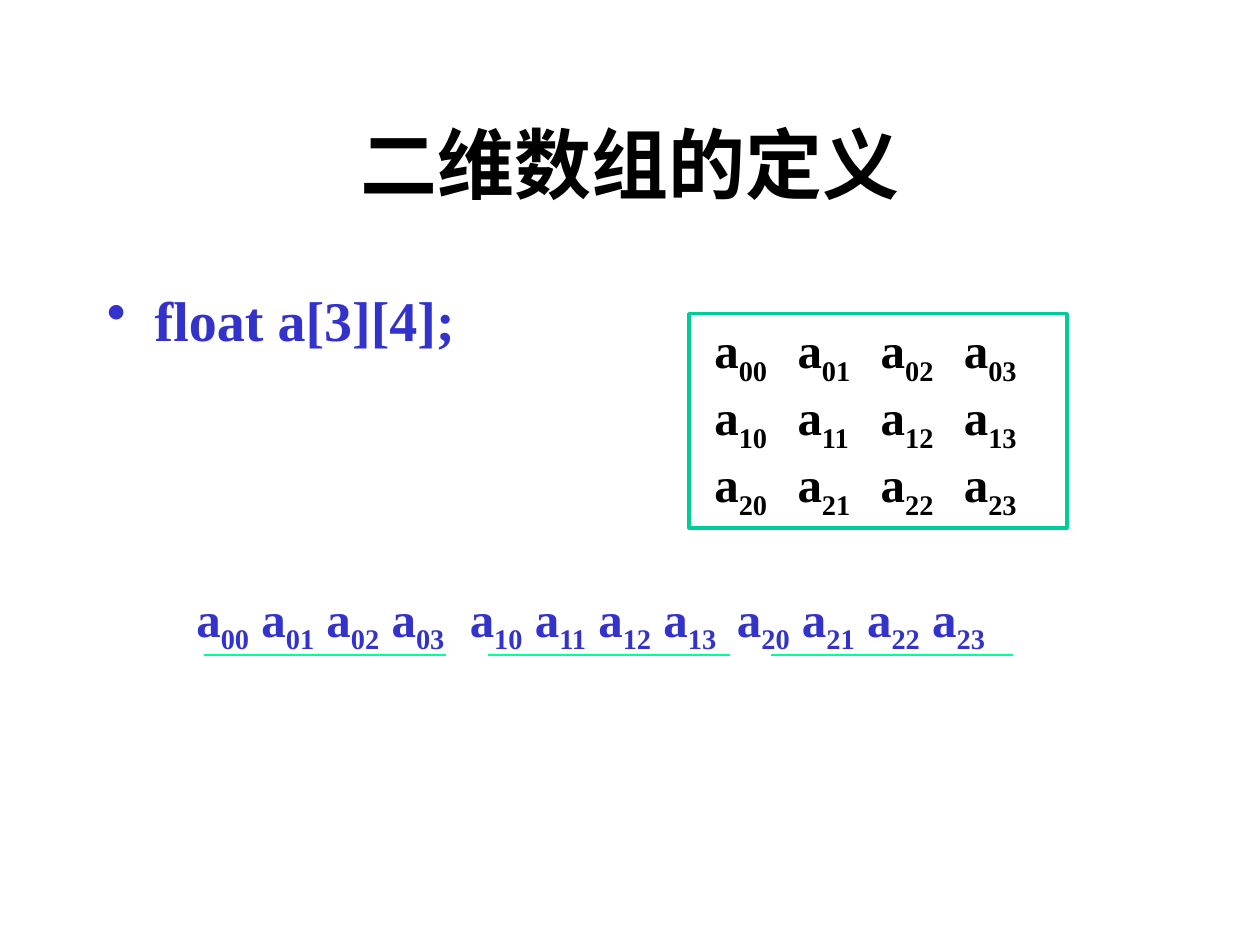
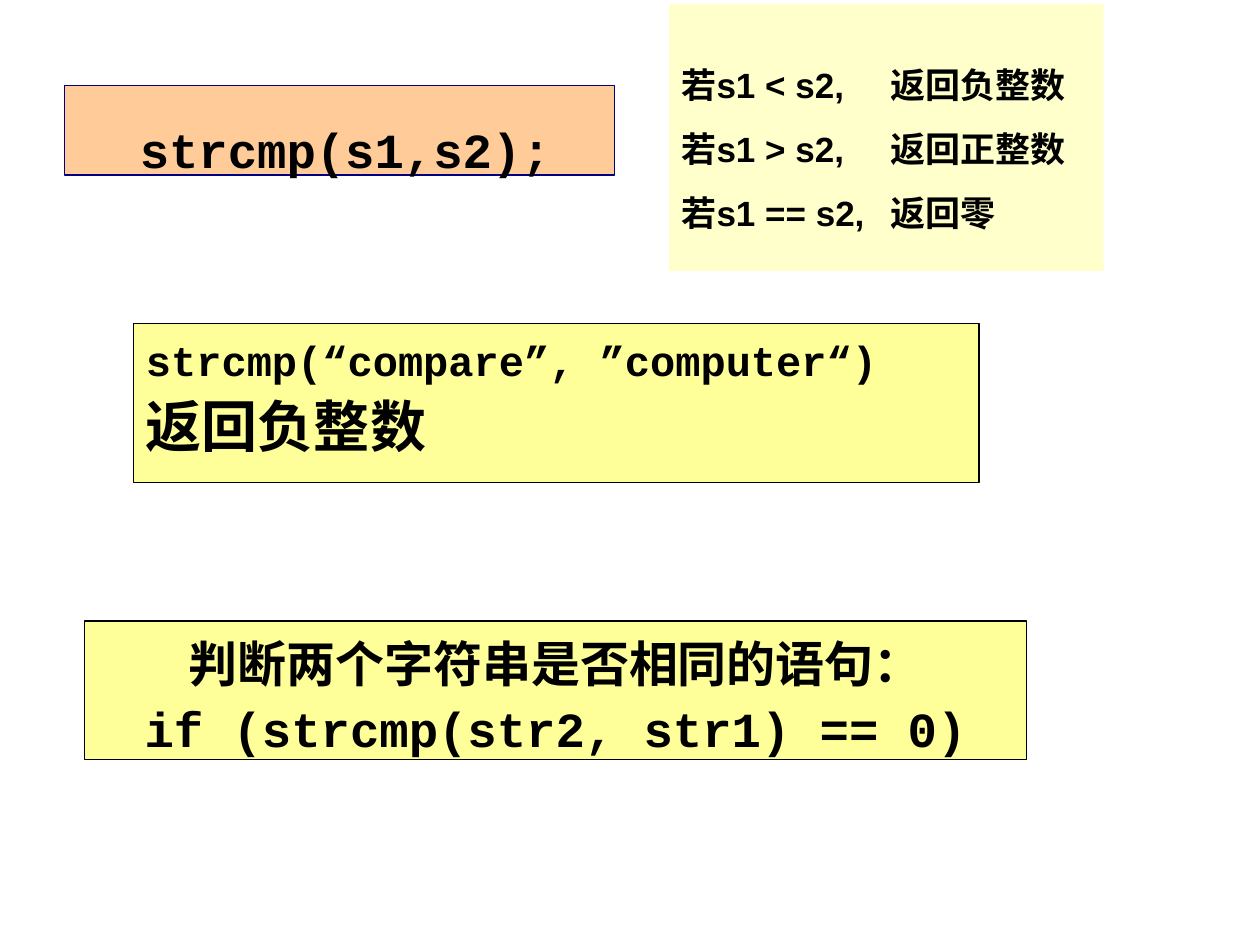
import pptx
import pptx.util
import pptx.dml.color
import pptx.enum.shapes
import pptx.enum.text
import pptx.oxml.ns
import lxml.etree

Inches = pptx.util.Inches
Pt = pptx.util.Pt
RGBColor = pptx.dml.color.RGBColor
Align = pptx.enum.text.PP_ALIGN
Anchor = pptx.enum.text.MSO_ANCHOR
qn = pptx.oxml.ns.qn

BLACK = RGBColor(0x00, 0x00, 0x00)
BLUE = RGBColor(0x33, 0x33, 0xCC)
NAVY = RGBColor(0x00, 0x00, 0x80)
TEAL = RGBColor(0x00, 0xCC, 0x99)
MINT = RGBColor(0x00, 0xFF, 0x99)
PEACH = RGBColor(0xFF, 0xCC, 0x99)
CREAM = RGBColor(0xFF, 0xFF, 0xCC)
YELLOW = RGBColor(0xFF, 0xFF, 0x99)

SERIF = "Times New Roman"
SANS = "Arial"
MONO = "Courier New"
TITLE_ONLY, BLANK = 5, 6


class Deck:
    def __init__(self):
        self.presentation = pptx.Presentation()
        self.presentation.slide_width = Inches(10)
        self.presentation.slide_height = Inches(7.5)
        self.slide = None

    def add_slide(self, layout):
        layouts = self.presentation.slide_layouts
        self.slide = self.presentation.slides.add_slide(layouts[layout])

    def style(self, paragraph, font, size, color=BLACK):
        paragraph.font.name = font
        paragraph.font.size = Pt(size)
        paragraph.font.bold = True
        paragraph.font.color.rgb = color

    def title(self, text):
        title = self.slide.shapes.title
        title.left, title.top = Inches(0.75), Inches(0.67)
        title.width, title.height = Inches(8.5), Inches(1.25)
        title.text_frame.vertical_anchor = Anchor.MIDDLE
        paragraph = title.text_frame.paragraphs[0]
        paragraph.text = text
        paragraph.alignment = Align.CENTER
        self.style(paragraph, SERIF, 44)

    def frame(self, shape, inset_left=0.1, inset_top=0.05, anchor=Anchor.TOP):
        frame = shape.text_frame
        frame.word_wrap = True
        frame.vertical_anchor = anchor
        frame.margin_left = Inches(inset_left)
        frame.margin_top = Inches(inset_top)
        frame.margin_right, frame.margin_bottom = Inches(0.1), Inches(0.05)
        return frame

    def text_box(self, left, top, width, height, **insets):
        shape = self.slide.shapes.add_textbox(
            Inches(left), Inches(top), Inches(width), Inches(height))
        return self.frame(shape, **insets)

    def panel(self, left, top, width, height, fill=None, line=None,
              weight=0.75, **insets):
        shape = self.slide.shapes.add_shape(
            pptx.enum.shapes.MSO_SHAPE.RECTANGLE,
            Inches(left), Inches(top), Inches(width), Inches(height))
        shape.shadow.inherit = False
        if fill is None:
            shape.fill.background()
        else:
            shape.fill.solid()
            shape.fill.fore_color.rgb = fill
        if line is None:
            shape.line.fill.background()
        else:
            shape.line.color.rgb = line
            shape.line.width = Pt(weight)
        return self.frame(shape, **insets)

    def paragraph(self, frame, text, font, size, color=BLACK, before=0,
                  spacing=1.0, align=Align.LEFT, tabs=()):
        paragraph = frame.paragraphs[0]
        if paragraph.runs:
            paragraph = frame.add_paragraph()
            paragraph.space_before = Pt(before)
        paragraph.alignment = align
        paragraph.line_spacing = spacing
        if text:
            paragraph.add_run().text = text
        self.tab_stops(paragraph, tabs)
        self.style(paragraph, font, size, color)
        return paragraph

    def tab_stops(self, paragraph, positions):
        if not positions:
            return
        properties = paragraph._p.get_or_add_pPr()
        tab_list = lxml.etree.SubElement(properties, qn("a:tabLst"))
        for position in positions:
            lxml.etree.SubElement(tab_list, qn("a:tab"),
                                  pos=str(Inches(position)), algn="l")

    def bullet(self, frame, text, size, color):
        paragraph = frame.paragraphs[0]
        paragraph.text = text
        properties = paragraph._p.get_or_add_pPr()
        properties.set("marL", str(Inches(0.38)))
        properties.set("indent", str(-Inches(0.38)))
        bullet_color = lxml.etree.SubElement(properties, qn("a:buClr"))
        lxml.etree.SubElement(bullet_color, qn("a:srgbClr"), val=str(color))
        lxml.etree.SubElement(properties, qn("a:buChar"), char="•")
        self.style(paragraph, SERIF, size, color)

    def elements(self, paragraph, row, separator):
        for column in range(4):
            paragraph.add_run().text = (separator if column else "") + "a"
            index = paragraph.add_run()
            index.text = f"{row}{column}"
            index._r.get_or_add_rPr().set("baseline", "-25000")

    def line(self, left, top, width, color):
        connector = self.slide.shapes.add_connector(
            pptx.enum.shapes.MSO_CONNECTOR.STRAIGHT,
            Inches(left), Inches(top), Inches(left + width), Inches(top))
        connector.line.color.rgb = color
        connector.line.width = Pt(1)
        lxml.etree.SubElement(connector._element.spPr, qn("a:effectLst"))


def array_slide(deck):
    deck.add_slide(TITLE_ONLY)
    deck.title("二维数组的定义")
    declaration = deck.text_box(0.75, 2.17, 4.56, 1.43, inset_top=0.1)
    deck.bullet(declaration, "float a[3][4];", 32, BLUE)

    matrix = deck.panel(5.47, 2.49, 3, 1.7, line=TEAL, weight=2,
                        inset_left=0.2)
    columns = [0.66 * column for column in range(1, 4)]
    for row in range(3):
        paragraph = deck.paragraph(matrix, "", SERIF, 28, tabs=columns)
        deck.elements(paragraph, row, "\t")

    memory = deck.text_box(1.46, 4.62, 7.25, 0.63)
    paragraph = deck.paragraph(memory, "", SERIF, 28, BLUE, tabs=(2.17, 4.29))
    for row in range(3):
        if row:
            paragraph.add_run().text = "\t"
        deck.elements(paragraph, row, " ")
        deck.line(1.62 + 2.25 * row, 5.2, 1.92, MINT)


def compare_slide(deck):
    deck.add_slide(BLANK)
    call = deck.panel(0.51, 0.68, 4.37, 0.71, PEACH, NAVY,
                      inset_left=0.6, inset_top=0.15)
    deck.paragraph(call, "strcmp(s1,s2);", MONO, 28, spacing=1.25)

    results = deck.panel(5.31, 0.03, 3.45, 2.12, CREAM, inset_top=0.22,
                         anchor=Anchor.MIDDLE)
    for condition, result in (("若s1 < s2,", "返回负整数"),
                              ("若s1 > s2,", "返回正整数"),
                              ("若s1 == s2,", "返回零")):
        deck.paragraph(results, f"{condition}\t{result}", SANS, 20,
                       before=12.5, tabs=(1.66,))

    example = deck.panel(1.06, 2.57, 6.71, 1.26, YELLOW, BLACK,
                         inset_top=0.13)
    deck.paragraph(example, "strcmp(“compare”, ”computer“)", MONO, 24,
                   spacing=0.9)
    deck.paragraph(example, "返回负整数", SERIF, 32, before=8, spacing=0.9)

    equality = deck.panel(0.67, 4.93, 7.48, 1.1, YELLOW, BLACK,
                          inset_top=0.15)
    for text in ("判断两个字符串是否相同的语句：", "if (strcmp(str2, str1) == 0)"):
        deck.paragraph(equality, text, MONO, 28, before=7, spacing=0.9,
                       align=Align.CENTER)


def main():
    deck = Deck()
    array_slide(deck)
    compare_slide(deck)
    deck.presentation.save("out.pptx")


if __name__ == "__main__":
    main()
